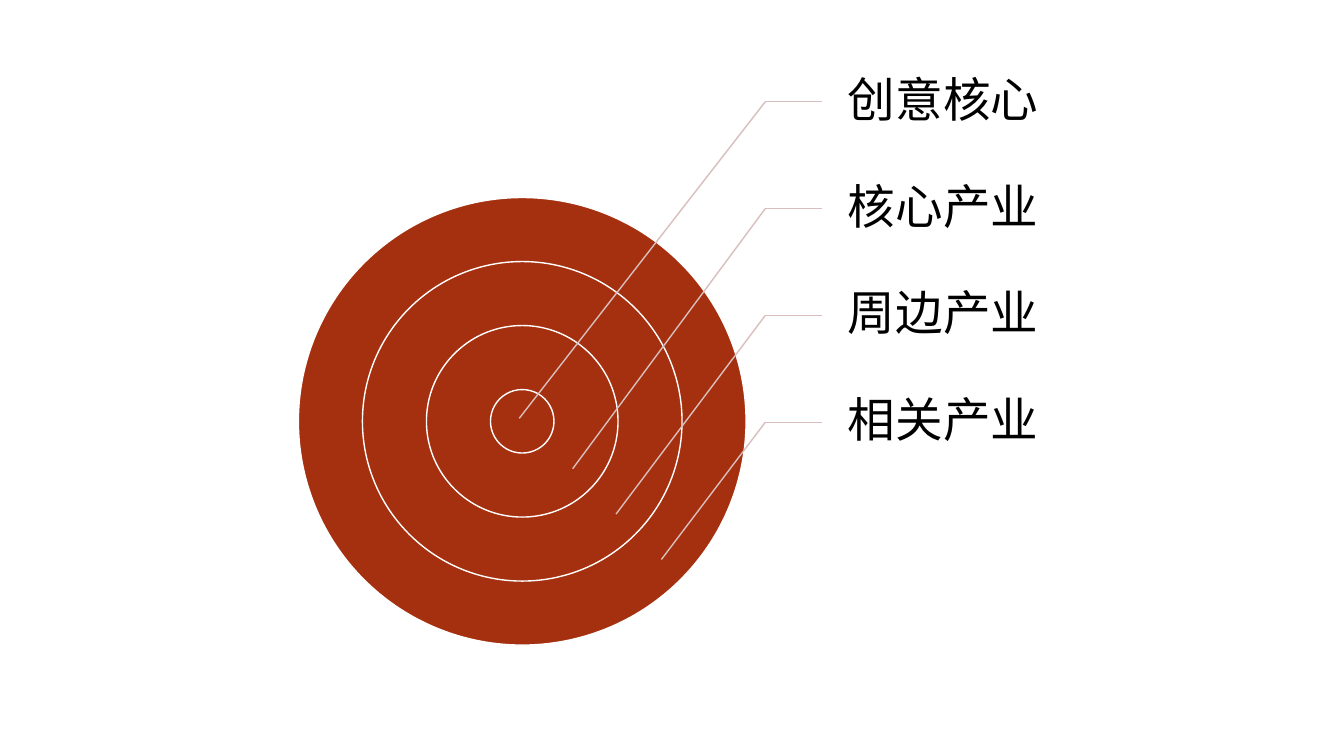
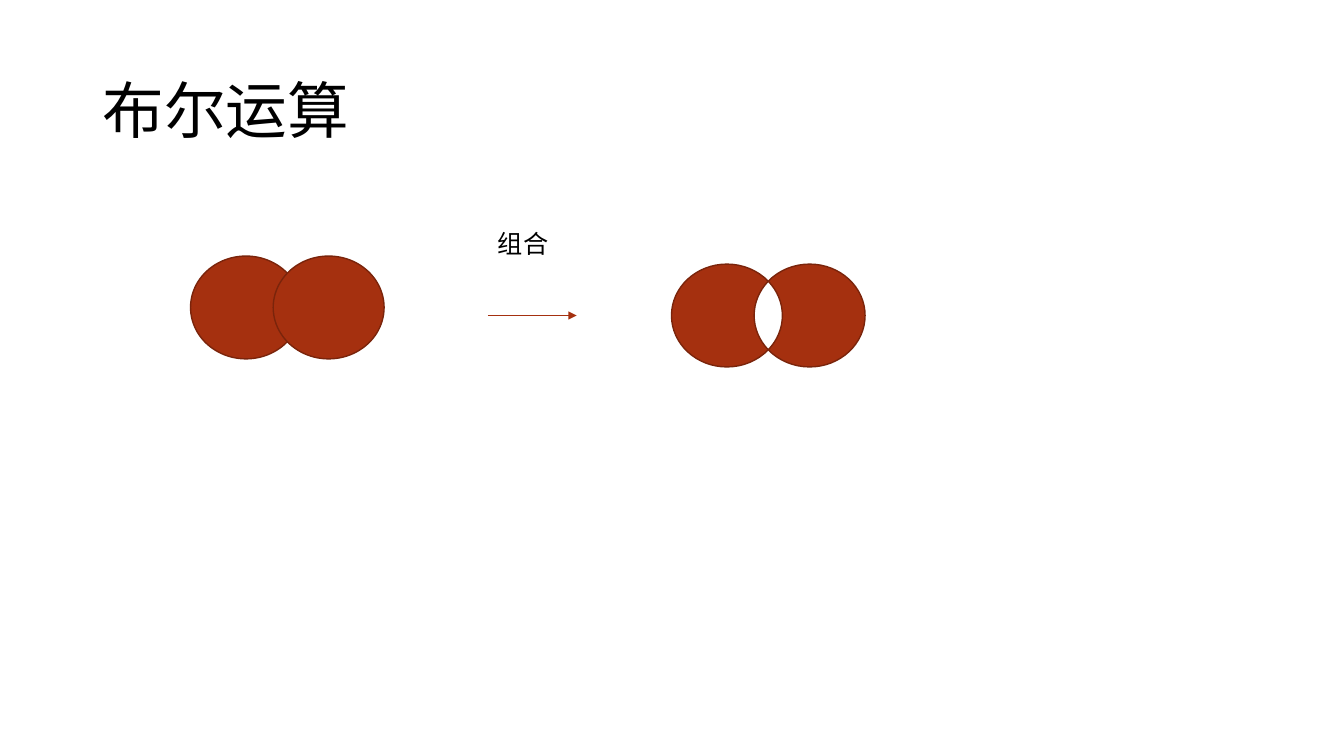
import math

from lxml import etree
from pptx import Presentation
from pptx import util as u
from pptx.dml.color import RGBColor
from pptx.enum import shapes, text
from pptx.oxml.ns import qn

COLORS = {"rust": "A5300F", "rust_dark": "7A240B", "leader": "D8BEBD",
          "white": "FFFFFF", "black": "000000"}
FONT = "Montserrat"


def rgb(name):
    return RGBColor.from_string(COLORS[name])


# Shared elements
def add_slide(prs):
    s = prs.slides.add_slide(prs.slide_layouts[6])
    s.background.fill.solid()
    s.background.fill.fore_color.rgb = rgb("white")
    return s


def paint(sp, outline):
    sp.shadow.inherit = False
    sp.fill.solid()
    sp.fill.fore_color.rgb = rgb("rust")
    sp.line.color.rgb = rgb(outline)
    sp.line.width = u.Pt(1)


def add_ellipse(s, cx, cy, rx, ry, outline):
    sp = s.shapes.add_shape(
        shapes.MSO_SHAPE.OVAL, u.Inches(cx - rx), u.Inches(cy - ry),
        u.Inches(2 * rx), u.Inches(2 * ry))
    paint(sp, outline)


def add_text(s, words, box, size, insets=(0.1, 0.1), spacing=None):
    sp = s.shapes.add_textbox(*(u.Inches(v) for v in box))
    tf = sp.text_frame
    tf.word_wrap = True
    tf.vertical_anchor = text.MSO_ANCHOR.MIDDLE
    tf.margin_left, tf.margin_right = (u.Inches(v) for v in insets)
    p = tf.paragraphs[0]
    p.text = words
    p.line_spacing = spacing
    r = p.runs[0]
    r.font.name, r.font.size = FONT, u.Pt(size)
    r.font.color.rgb = rgb("black")
    return sp


def add_line(s, start, end, color, width, arrow=False):
    line = s.shapes.add_connector(
        shapes.MSO_CONNECTOR.STRAIGHT, *(u.Inches(v) for v in (*start, *end)))
    line.line.color.rgb = rgb(color)
    line.line.width = u.Pt(width)
    if arrow:
        etree.SubElement(line.line._get_or_add_ln(), qn("a:tailEnd"),
                         type="triangle")
    etree.SubElement(line._element.spPr, qn("a:effectLst"))
    return line


# Two ellipses combined, with the overlap left open
def arc(cx, cy, rx, ry, angles):
    """Bezier points of an elliptical arc: two controls and an end per step."""
    def point(a, pull=0):
        return (cx + rx * (math.cos(a) - pull * math.sin(a)),
                cy + ry * (math.sin(a) + pull * math.cos(a)))

    points = [point(angles[0])]
    for a, b in zip(angles, angles[1:]):
        pull = 4 / 3 * math.tan((b - a) / 4)
        points += [point(a, pull), point(b, -pull), point(b)]
    return points


def curve_segments(sp):
    """Turn every three line segments into one cubic curve."""
    lines = list(sp._element.iter(qn("a:lnTo")))
    for first, second, third in zip(*[iter(lines)] * 3):
        first.tag = qn("a:cubicBezTo")
        for line in (second, third):
            first.append(line[0])
            line.getparent().remove(line)


def add_combined(s, cx, cy, half_gap, rx, ry):
    a, pi = math.acos(half_gap / rx), math.pi
    outer = arc(cx - half_gap, cy, rx, ry,
                [a, pi / 2, pi, 3 * pi / 2, 2 * pi - a])
    inner = arc(cx + half_gap, cy, rx, ry, [pi + a, pi, pi - a])
    left = outer + inner[1:]
    right = [(2 * cx - x, y) for x, y in left]
    to_emu = [[(u.Inches(x), u.Inches(y)) for x, y in crescent]
              for crescent in (right, left)]
    builder = s.shapes.build_freeform(*to_emu[0][0])
    builder.add_line_segments(to_emu[0][1:], close=True)
    builder.move_to(*to_emu[1][0])
    builder.add_line_segments(to_emu[1][1:], close=True)
    sp = builder.convert_to_shape()
    curve_segments(sp)
    paint(sp, "rust_dark")


# Slide 1: concentric rings with labels
def build_rings(prs):
    s = add_slide(prs)
    for i in range(4):
        radius = (4.44 - 1.27 * i) / 2
        add_ellipse(s, 5.18, 4.18, radius, radius, "white")
    labels = [("创意核心", (5.15, 4.15)), ("核心产业", (5.68, 4.65)),
              ("周边产业", (6.11, 5.1)), ("相关产业", (6.56, 5.55))]
    height = 1.06
    for i, (words, target) in enumerate(labels):
        top = 0.48 + height * i
        bend = (7.59, top + height / 2)
        label = add_text(s, words, (8.15, top, 2.22, height), 34,
                         insets=(0.26, 0.05), spacing=0.9)
        leader = add_line(s, bend, (8.15, bend[1]), "leader", 1)
        leader.end_connect(label, 1)
        add_line(s, bend, target, "leader", 1)


# Slide 2: boolean operation
def build_boolean(prs):
    s = add_slide(prs)
    rx, ry, half_gap = 0.55, 0.51, 0.41
    caption = add_text(s, "组合", (4.84, 2.22, 0.71, 0.4), 18)
    tf = caption.text_frame
    tf.word_wrap = False
    tf.vertical_anchor = text.MSO_ANCHOR.TOP
    tf.auto_size = text.MSO_AUTO_SIZE.SHAPE_TO_FIT_TEXT
    for side in (-1, 1):
        add_ellipse(s, 2.85 + side * half_gap, 3.05, rx, ry, "rust_dark")
    add_line(s, (4.84, 3.13), (5.72, 3.13), "rust", 0.5, arrow=True)
    add_combined(s, 7.62, 3.13, half_gap, rx, ry)
    add_text(s, "布尔运算", (0.92, 0.4, 11.5, 1.45), 44, spacing=0.9)


def main():
    prs = Presentation()
    prs.slide_width, prs.slide_height = u.Inches(13.33), u.Inches(7.5)
    build_rings(prs)
    build_boolean(prs)
    prs.save("out.pptx")


if __name__ == "__main__":
    main()
